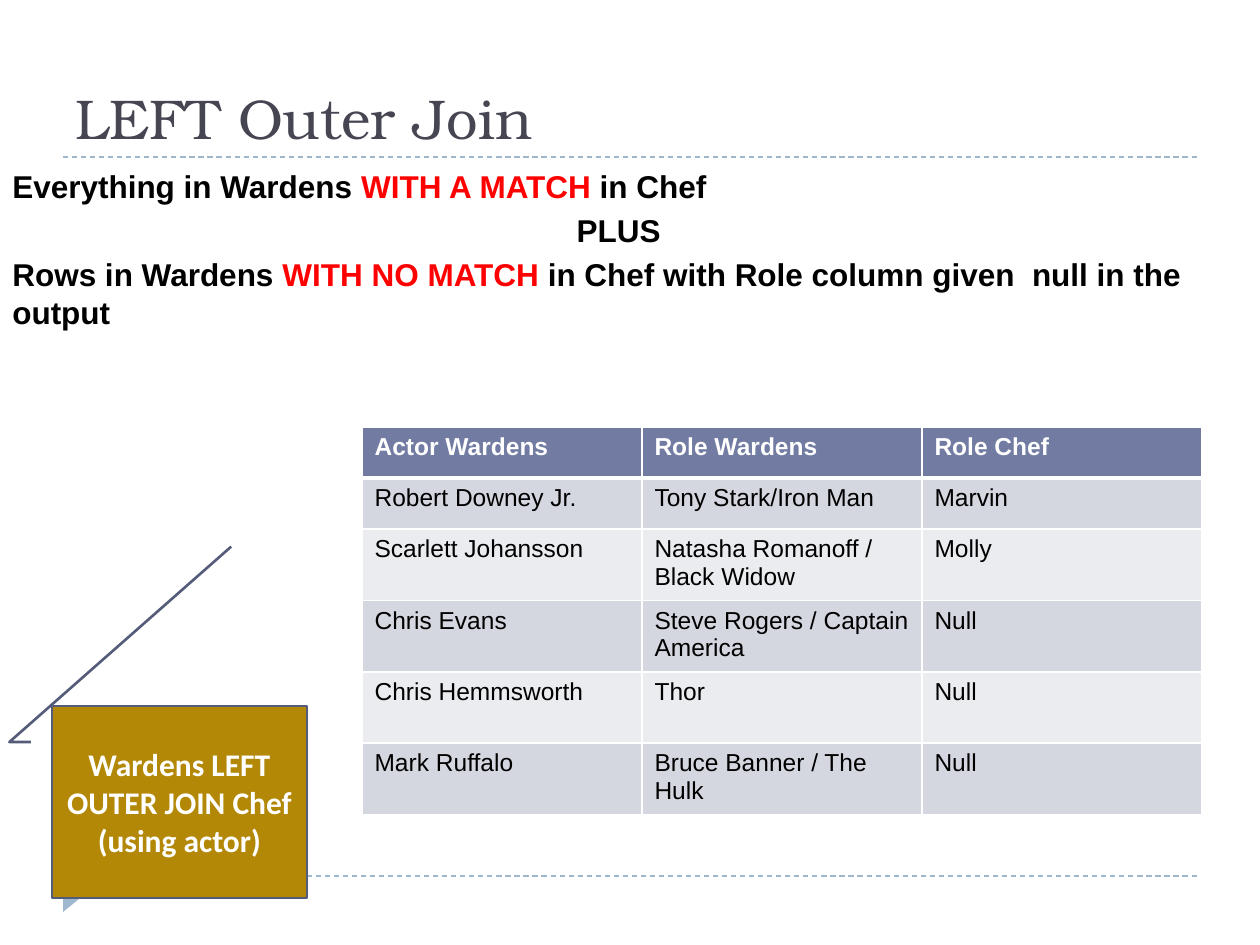
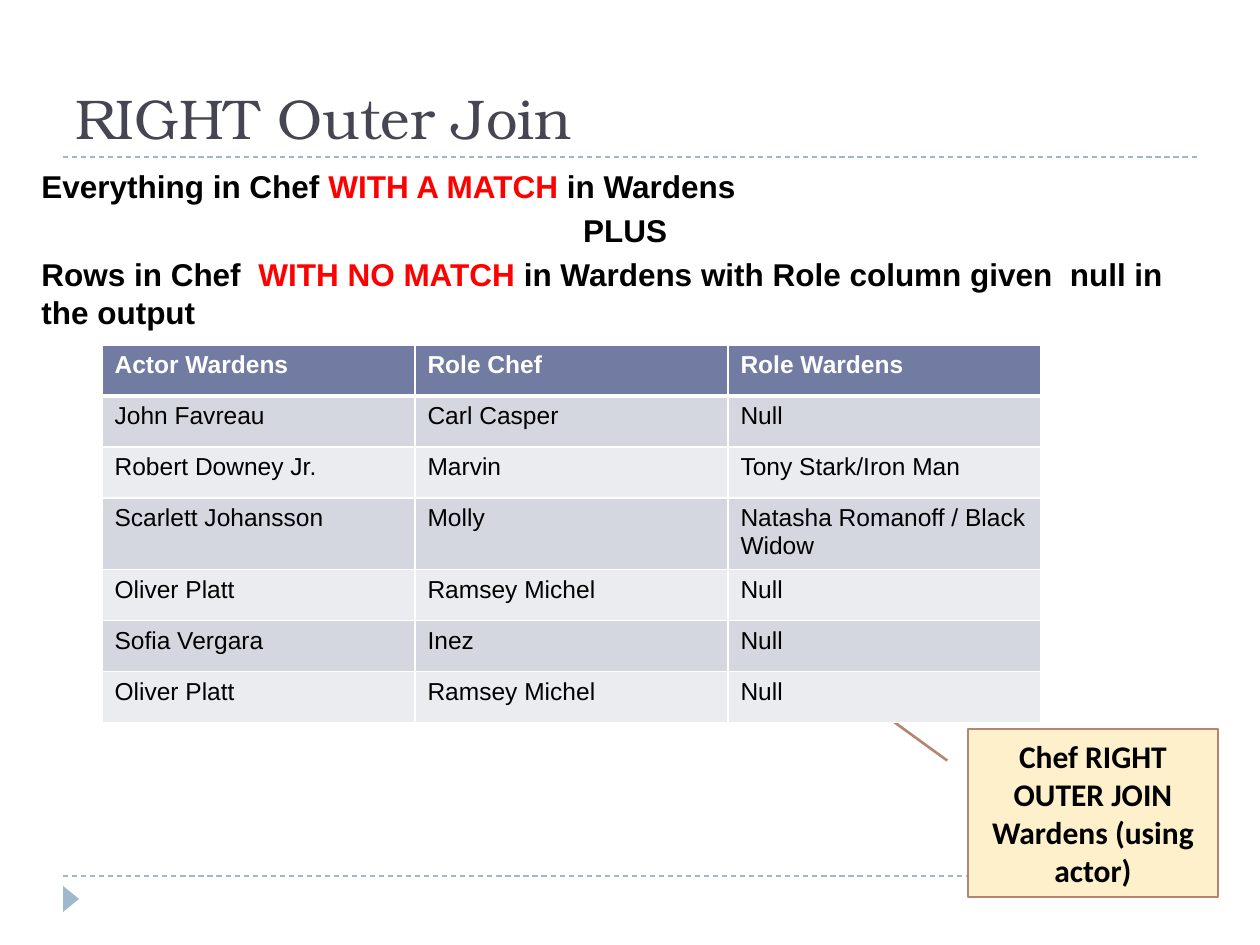
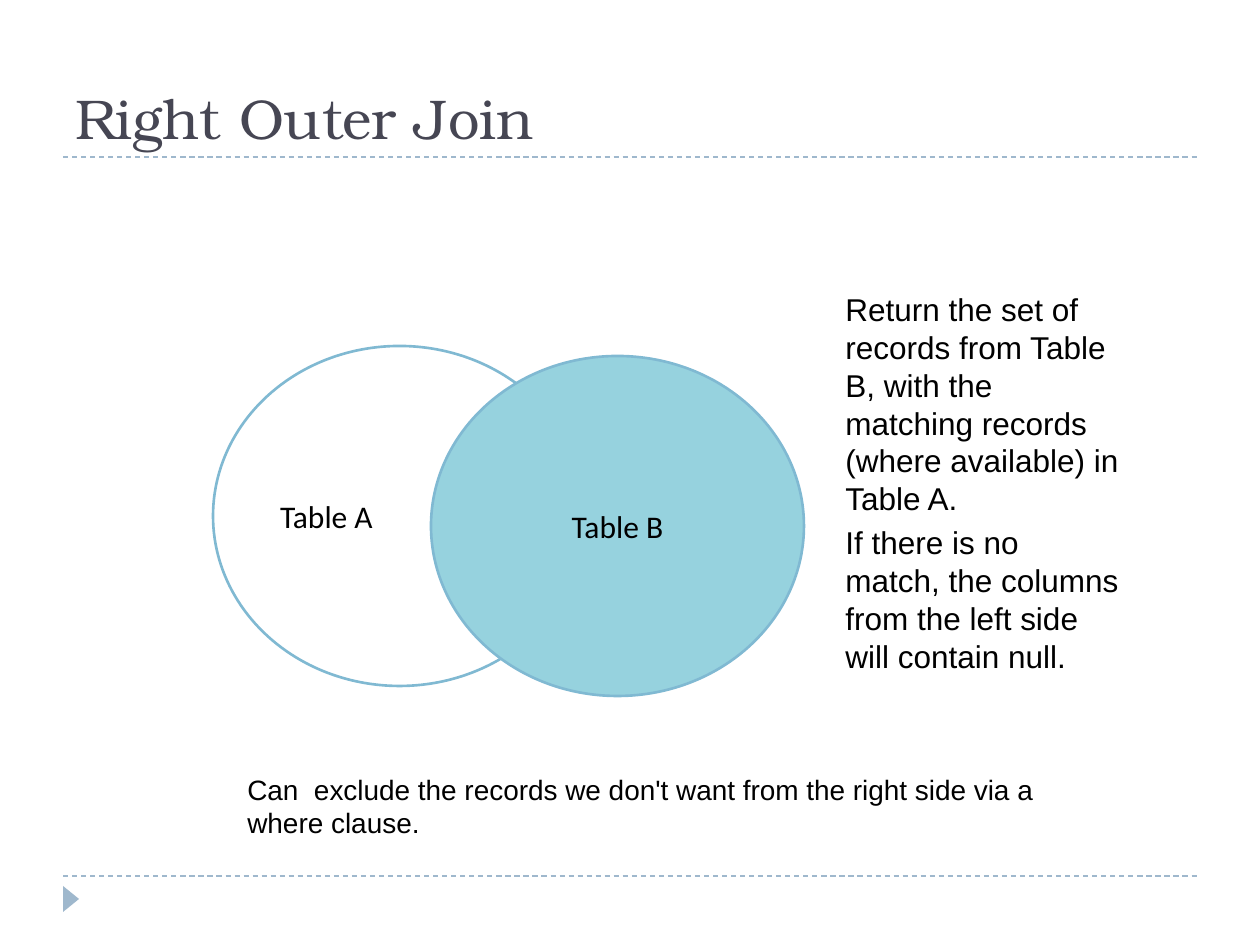
"""Build three slides that explain left and right outer joins."""
from lxml import etree
from pptx import Presentation
from pptx.dml.color import RGBColor
from pptx.enum.dml import MSO_LINE
from pptx.enum.shapes import MSO_CONNECTOR, MSO_SHAPE
from pptx.enum.text import MSO_ANCHOR, MSO_AUTO_SIZE, PP_ALIGN
from pptx.oxml.ns import qn
from pptx.util import Emu, Pt

SCALE = 914400 / 126
TITLE, RULE, BLACK, WHITE, RED = "464653", "9FB8CD", "000000", "FFFFFF", "FF0000"
HEADER, BANDS = "727CA3", ("D5D7E0", "EBECF0")
LEFT, CENTER = PP_ALIGN.LEFT, PP_ALIGN.CENTER
rgb = RGBColor.from_string


def px(*lengths):
    """Turn pixel lengths into EMU."""
    return [Emu(round(n * SCALE)) for n in lengths]


def write(tf, paragraphs, font, size, color=BLACK, bold=False):
    """Fill a text frame with (alignment, runs); a run starting with WITH is red."""
    tf.word_wrap = True
    for i, (align, runs) in enumerate(paragraphs):
        p = tf.add_paragraph() if i else tf.paragraphs[0]
        p.alignment = align
        p.space_before = Pt(size * 0.2 if i else 0)
        for text in runs:
            r = p.add_run()
            r.text = text
            r.font.name, r.font.size, r.font.bold = font, Pt(size), bold
            r.font.color.rgb = rgb(RED if text.startswith("WITH") else color)


prs = Presentation()
prs.slide_width, prs.slide_height = px(1260, 945)

slides = []
for title in ("LEFT Outer Join", "RIGHT Outer Join", "Right Outer Join"):
    s = prs.slides.add_slide(prs.slide_layouts[5])
    slides.append(s)
    for y in (876, 157):
        line = s.shapes.add_connector(MSO_CONNECTOR.STRAIGHT, *px(63, y, 1197, y))
        line.line.color.rgb = rgb(RULE)
        line.line.width = Pt(0.75)
        line.line.dash_style = MSO_LINE.DASH
        etree.SubElement(line._element.spPr, qn("a:effectLst"))
    sp = s.shapes.add_shape(MSO_SHAPE.ISOSCELES_TRIANGLE, *px(58, 891, 26, 16))
    sp.rotation = 90
    sp.shadow.inherit = False
    sp.fill.solid()
    sp.fill.fore_color.rgb = rgb(RULE)
    sp.line.fill.background()
    sp = s.shapes.title
    sp.left, sp.top, sp.width, sp.height = px(63, 31, 1134, 126)
    tf = sp.text_frame
    tf.auto_size = MSO_AUTO_SIZE.NONE
    tf.vertical_anchor = MSO_ANCHOR.BOTTOM
    write(tf, [(LEFT, [title])], "TeX Gyre Bonum", 32, TITLE)

left, right, venn = slides

shapes = [
    (left, MSO_SHAPE.LINE_CALLOUT_2, (52, 706, 255, 192),
     (0.188, -0.083, 0.188, -0.167, -0.83, 0.703), "B38807", "545C79",
     "Wardens LEFT OUTER JOIN Chef (using actor)", CENTER, WHITE, True),
    (right, MSO_SHAPE.LINE_CALLOUT_1, (968, 729, 250, 168),
     (0.188, -0.083, -0.3, -0.535), "FDF0CA", "B88472",
     "Chef RIGHT OUTER JOIN Wardens (using actor)", CENTER, BLACK, True),
    (venn, MSO_SHAPE.OVAL, (213, 346, 373, 340), (), None, "80B9D2",
     "Table A", LEFT, BLACK, False),
    (venn, MSO_SHAPE.OVAL, (431, 356, 373, 340), (), "96D2DE", "80B9D2",
     "Table B", CENTER, BLACK, False),
]
for s, kind, box, adjustments, fill, outline, text, align, color, bold in shapes:
    sp = s.shapes.add_shape(kind, *px(*box))
    sp.shadow.inherit = False
    for i, value in enumerate(adjustments):
        sp.adjustments[i] = value
    if fill:
        sp.fill.solid()
        sp.fill.fore_color.rgb = rgb(fill)
    else:
        sp.fill.background()
    sp.line.color.rgb = rgb(outline)
    sp.line.width = Pt(1.5)
    sp.text_frame.vertical_anchor = MSO_ANCHOR.MIDDLE
    write(sp.text_frame, [(align, [text])], "Calibri", 18, color, bold)

texts = [
    (left, (0, 161, 1246, 180), 18, True, [
        (LEFT, ["Everything in Wardens ", "WITH A MATCH ", "in Chef"]),
        (CENTER, ["PLUS "]),
        (LEFT, ["Rows in Wardens ", "WITH NO MATCH ",
                "in Chef with Role column given  null in the output"])]),
    (right, (29, 161, 1201, 227), 18, True, [
        (LEFT, ["Everything in Chef ", "WITH A MATCH ", "in Wardens"]),
        (CENTER, ["PLUS "]),
        (LEFT, ["Rows in Chef  ", "WITH NO MATCH ",
                "in Wardens with Role column given  null in the output"])]),
    (venn, (833, 284, 299, 402), 18, False, [
        (LEFT, ["Return the set of records from Table B, with the matching "
                "records (where available) in Table A."]),
        (LEFT, ["If there is no match, the columns from the left side "
                "will contain null."])]),
    (venn, (235, 766, 820, 81), 16, False, [
        (LEFT, ["Can  exclude the records we don't want from the right side "
                "via a where clause."])]),
]
for s, box, size, bold, paragraphs in texts:
    sp = s.shapes.add_textbox(*px(*box))
    write(sp.text_frame, paragraphs, "Arial", size, bold=bold)

tables = [
    (left, (362, 427, 840), (51, 51, 71, 71, 71, 71), [
        ("Actor Wardens", "Role Wardens", "Role Chef"),
        ("Robert Downey Jr.", "Tony Stark/Iron Man", "Marvin"),
        ("Scarlett Johansson", "Natasha Romanoff / Black Widow", "Molly"),
        ("Chris Evans", "Steve Rogers / Captain America", "Null"),
        ("Chris Hemmsworth", "Thor", "Null"),
        ("Mark Ruffalo", "Bruce Banner / The Hulk", "Null")]),
    (right, (102, 345, 939), (51, 51, 51, 71, 51, 51, 51), [
        ("Actor Wardens", "Role Chef", "Role Wardens"),
        ("John Favreau", "Carl Casper", "Null"),
        ("Robert Downey Jr.", "Marvin", "Tony Stark/Iron Man"),
        ("Scarlett Johansson", "Molly", "Natasha Romanoff / Black Widow"),
        ("Oliver Platt", "Ramsey Michel", "Null"),
        ("Sofia Vergara", "Inez", "Null"),
        ("Oliver Platt", "Ramsey Michel", "Null")]),
]
for s, (x, y, width), heights, rows in tables:
    box = px(x, y, width, sum(heights))
    table = s.shapes.add_table(len(rows), len(rows[0]), *box).table
    for i, (height, row) in enumerate(zip(px(*heights), rows)):
        table.rows[i].height = height
        for j, text in enumerate(row):
            cell = table.cell(i, j)
            if i == 0:
                tcPr = cell._tc.get_or_add_tcPr()
                border = etree.SubElement(tcPr, qn("a:lnB"), w=str(Pt(3)))
                solid = etree.SubElement(border, qn("a:solidFill"))
                etree.SubElement(solid, qn("a:srgbClr"), val=WHITE)
            cell.fill.solid()
            cell.fill.fore_color.rgb = rgb(BANDS[(i - 1) % 2] if i else HEADER)
            write(cell.text_frame, [(LEFT, [text])], "Arial", 14,
                  BLACK if i else WHITE, i == 0)

prs.save("out.pptx")
